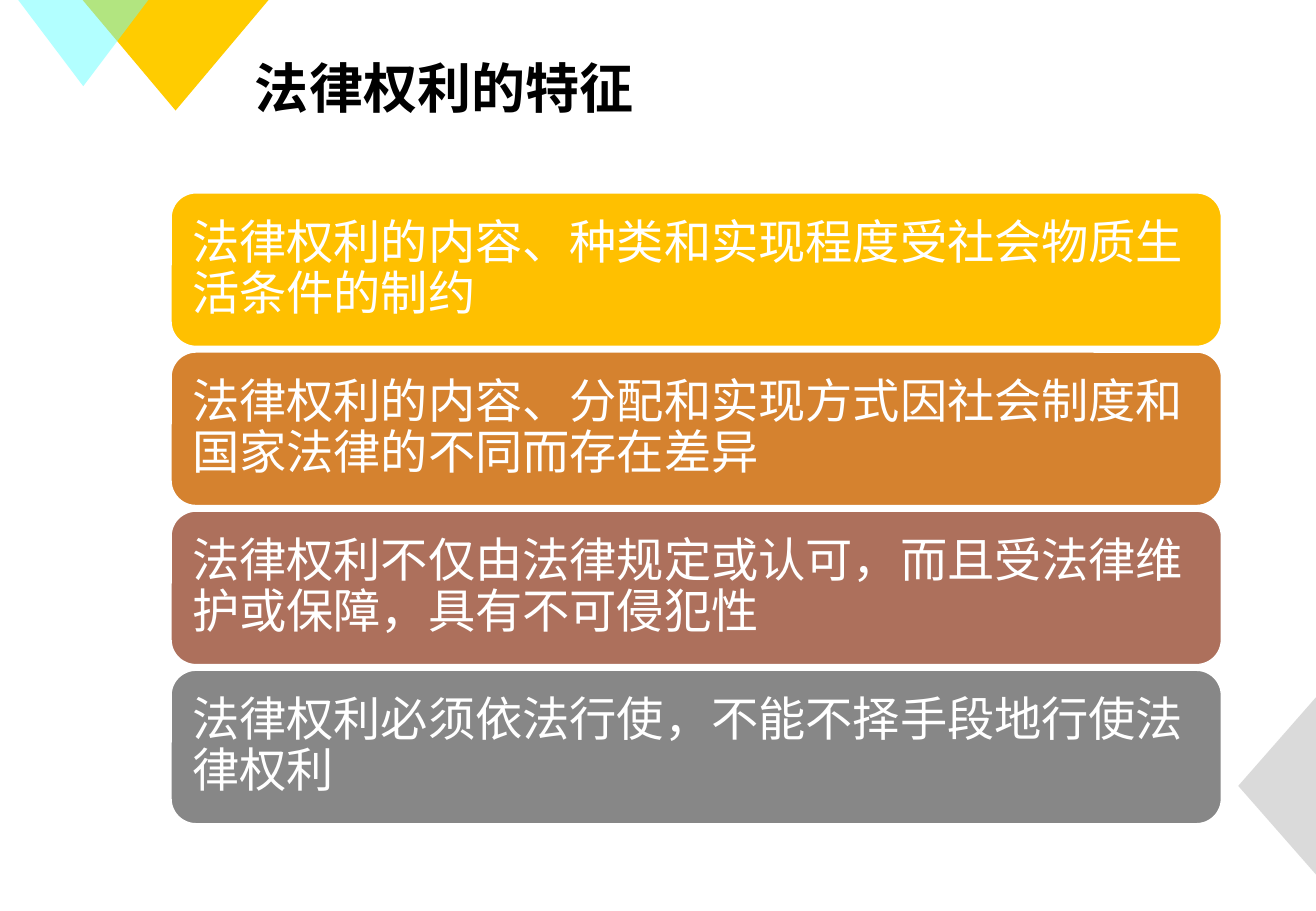
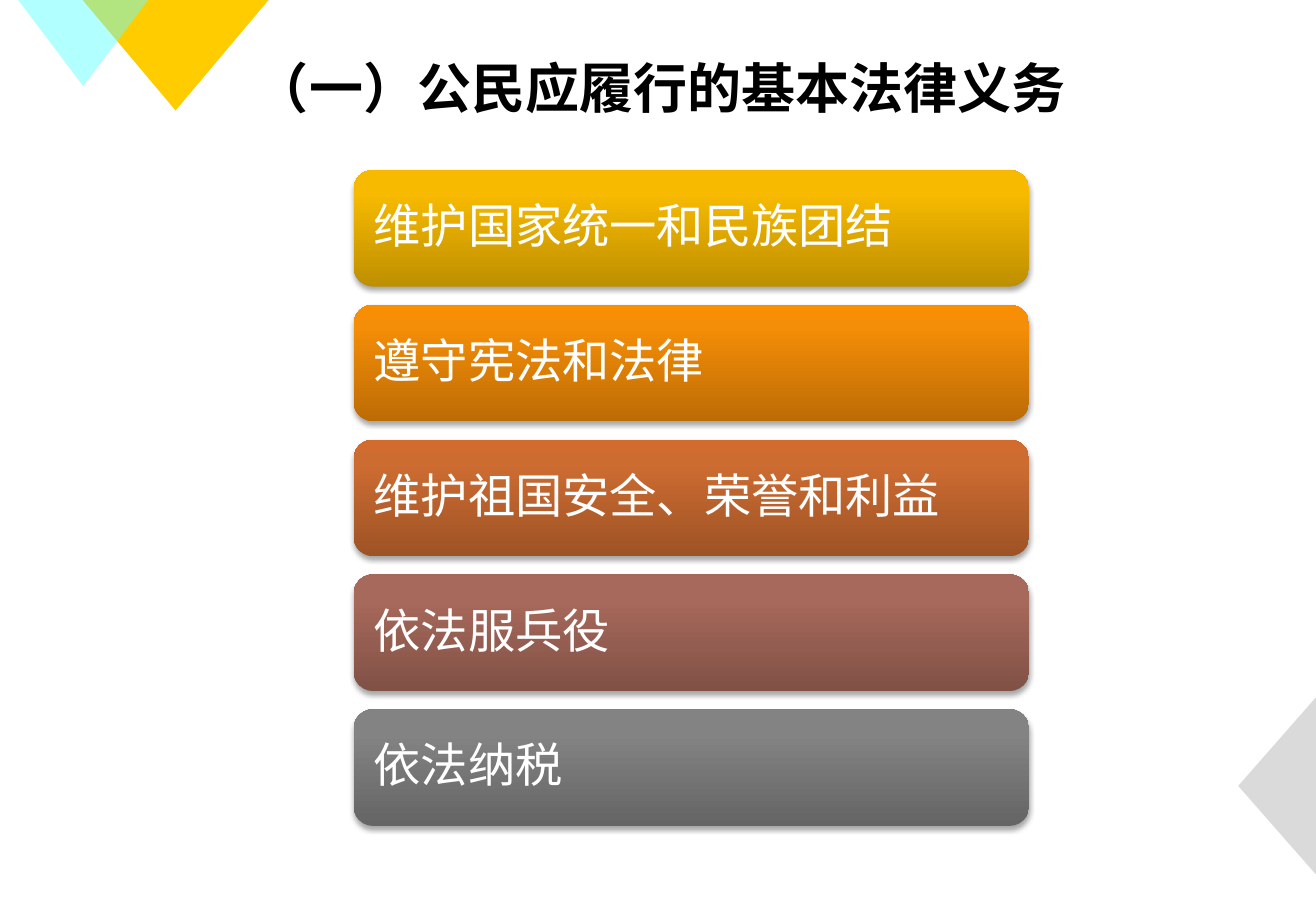
from copy import deepcopy

from lxml import etree
from pptx import Presentation
from pptx.dml.color import RGBColor
from pptx.enum.shapes import MSO_SHAPE
from pptx.enum.text import MSO_ANCHOR, PP_ALIGN
from pptx.oxml.ns import qn
from pptx.util import Inches, Pt

TRIANGLE = MSO_SHAPE.ISOSCELES_TRIANGLE
ROUNDED = MSO_SHAPE.ROUNDED_RECTANGLE
MIDDLE = MSO_ANCHOR.MIDDLE
LEFT, JUSTIFY = PP_ALIGN.LEFT, PP_ALIGN.JUSTIFY

FONT = "Noto Sans CJK SC"
COLORS = {
    "title": "000000",
    "white": "FFFFFF",
    "yellow": "FFCC00",
    "cyan": "66FFFF",
    "gray": "B7B7B7",
}

# left, top, width, height, rotation, color, opacity in percent
CORNER_TRIANGLES = [
    (0.68, 0, 1.53, 0.91, 180, "yellow", 100),
    (0.15, 0, 1.07, 0.71, 180, "cyan", 50),
    (9.78, 6.15, 1.46, 0.64, 270, "gray", 50),
]

FEATURES = [
    ("法律权利的内容、种类和实现程度受社会物质生活条件的制约", "FFC000"),
    ("法律权利的内容、分配和实现方式因社会制度和国家法律的不同而存在差异", "D5822F"),
    ("法律权利不仅由法律规定或认可，而且受法律维护或保障，具有不可侵犯性", "AD705C"),
    ("法律权利必须依法行使，不能不择手段地行使法律权利", "878787"),
]

# gradients run from the bottom edge to the top edge
DUTIES = [
    ("维护国家统一和民族团结", ("BE8F00", "F7BA00", "F8BB00")),
    ("遵守宪法和法律", ("BC6C05", "F48D07", "FA8E02")),
    ("维护祖国安全、荣誉和利益", ("9E5326", "CD6C31", "D16C2E")),
    ("依法服兵役", ("815146", "A7695B", "AA695A")),
    ("依法纳税", ("656565", "838383", "838383")),
]
GRADIENT_POSITIONS = (0, 0.8, 1)


def rgb(value):
    return RGBColor.from_string(value)


def add_xml(parent, tag, **attributes):
    return etree.SubElement(parent, qn(tag), attributes)


class Deck:
    def __init__(self):
        self.presentation = Presentation()
        self.presentation.slide_width = Inches(10.83)
        self.presentation.slide_height = Inches(7.5)
        self.page = None

    def new_page(self, title):
        layout = self.presentation.slide_layouts[6]
        self.page = self.presentation.slides.add_slide(layout)
        for triangle in CORNER_TRIANGLES:
            self.triangle(*triangle)
        box = self.page.shapes.add_textbox(
            Inches(2), Inches(0.36), Inches(7.79), Inches(0.71))
        self.set_text(box, title, 32, "title", JUSTIFY, bold=True)

    def set_text(self, box, text, size, color, alignment, bold=False):
        frame = box.text_frame
        frame.word_wrap = True
        frame.vertical_anchor = MIDDLE
        paragraph = frame.paragraphs[0]
        paragraph.text = text
        paragraph.alignment = alignment
        font = paragraph.font
        font.name, font.size, font.bold = FONT, Pt(size), bold
        font.color.rgb = rgb(COLORS[color])
        properties = paragraph._p.find(".//" + qn("a:defRPr"))
        add_xml(properties, "a:ea", typeface=FONT)
        return paragraph

    def shape(self, kind, left, top, width, height):
        shape = self.page.shapes.add_shape(
            kind, Inches(left), Inches(top), Inches(width), Inches(height))
        shape.shadow.inherit = False
        shape.line.fill.background()
        return shape

    def triangle(self, left, top, width, height, rotation, color, opacity):
        shape = self.shape(TRIANGLE, left, top, width, height)
        shape.rotation = rotation
        shape.fill.solid()
        shape.fill.fore_color.rgb = rgb(COLORS[color])
        if opacity < 100:
            fill_color = shape._element.spPr.find(".//" + qn("a:srgbClr"))
            add_xml(fill_color, "a:alpha", val=str(opacity * 1000))

    def bar(self, text, left, top, width, height):
        shape = self.shape(ROUNDED, left, top, width, height)
        frame = shape.text_frame
        frame.margin_left = frame.margin_right = Inches(0.12)
        frame.margin_top = frame.margin_bottom = Inches(0.12)
        paragraph = self.set_text(shape, text, 28, "white", LEFT)
        paragraph.line_spacing = 0.9
        return shape

    def flat_style(self, shape, color):
        shape.fill.solid()
        shape.fill.fore_color.rgb = rgb(color)
        shape.line.color.rgb = rgb(COLORS["white"])
        shape.line.width = Pt(2)

    def raised_style(self, shape, colors):
        """Give the bar a three-stop vertical gradient and a soft shadow."""
        fill = shape.fill
        fill.gradient()
        fill.gradient_angle = 90
        properties = shape._element.spPr
        stops = properties.find(".//" + qn("a:gsLst"))
        stops.append(deepcopy(stops[-1]))
        for stop, position, color in zip(
                fill.gradient_stops, GRADIENT_POSITIONS, colors):
            stop.position = position
            stop.color.rgb = rgb(color)
        shadow = add_xml(
            properties.find(qn("a:effectLst")), "a:outerShdw",
            blurRad=str(Pt(3.1)), dist=str(Pt(1.8)), dir="5400000",
            rotWithShape="0")
        shadow_color = add_xml(shadow, "a:srgbClr", val="000000")
        add_xml(shadow_color, "a:alpha", val="35000")

    def bar_stack(self, items, style, left, top, width, height, pitch):
        for index, (text, colors) in enumerate(items):
            bar = self.bar(text, left, top + index * pitch, width, height)
            style(bar, colors)


def main():
    deck = Deck()
    deck.new_page("法律权利的特征")
    deck.bar_stack(FEATURES, deck.flat_style, 1.4, 1.58, 8.66, 1.28, 1.31)
    deck.new_page("（一）公民应履行的基本法律义务")
    deck.bar_stack(DUTIES, deck.raised_style, 2.91, 1.4, 5.56, 0.96, 1.11)
    deck.presentation.save("out.pptx")


if __name__ == "__main__":
    main()
